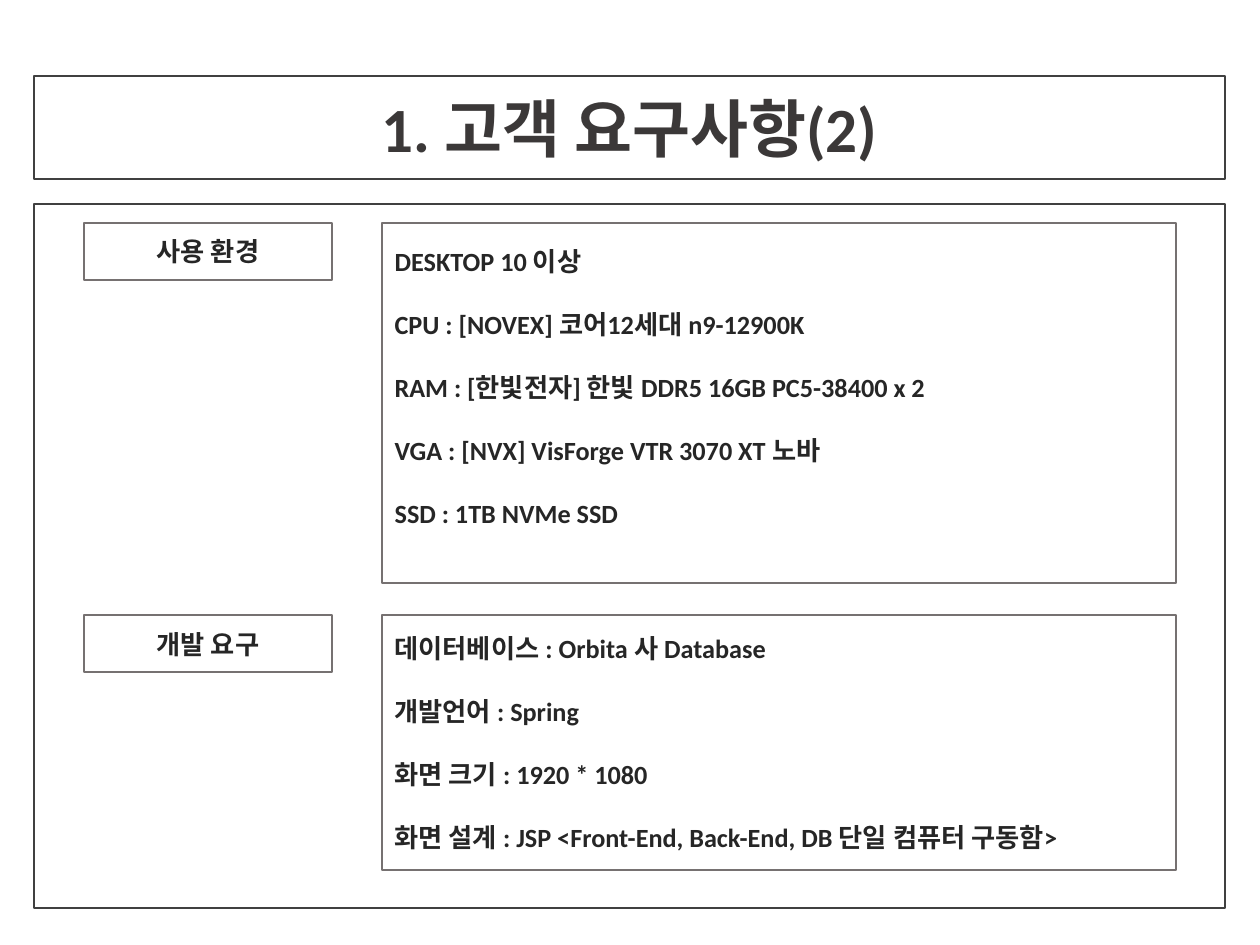
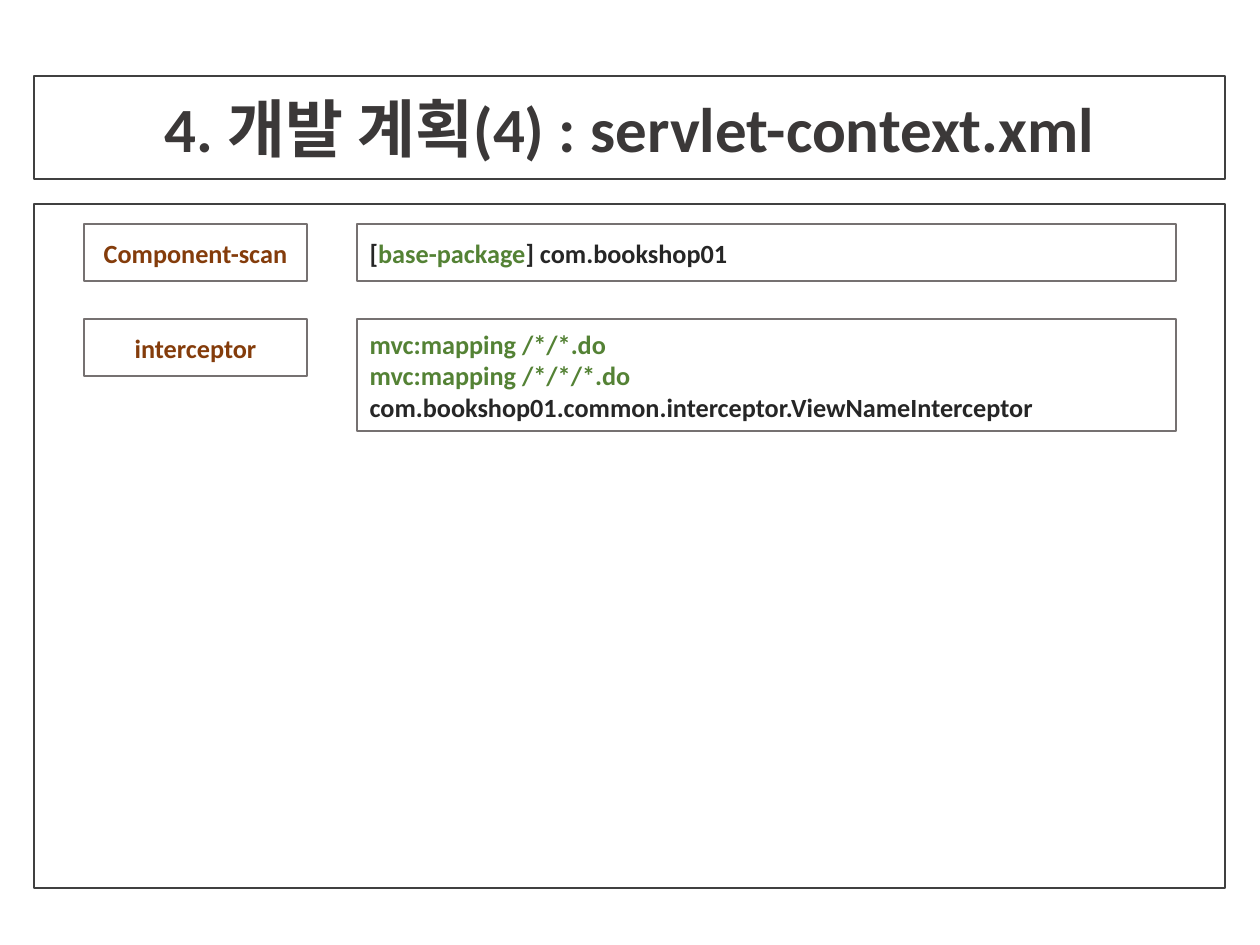
"""Build two framed slides: customer requirements and the servlet context plan."""
from lxml.etree import SubElement
from pptx import Presentation
from pptx.dml.color import RGBColor
from pptx.enum.shapes import MSO_SHAPE
from pptx.enum.text import MSO_ANCHOR, MSO_AUTO_SIZE, PP_ALIGN
from pptx.oxml.ns import qn
from pptx.util import Pt

SCALE = 914400 / 126
FONT = "Calibri"
DARK, EDGE, TITLE = "404040", "767171", "3B3838"
INK, BROWN, GREEN = "262626", "843C0B", "548235"
LEFT, RIGHT, GAP = 84, 1176, 50


def frame(shape, box, line, width):
    """Place a shape and give it a plain outline."""
    shape.left, shape.top, shape.width, shape.height = [round(n * SCALE) for n in box]
    shape.fill.background()
    shape.line.color.rgb = RGBColor.from_string(line)
    shape.line.width = Pt(width)
    text = shape.text_frame
    text.word_wrap = True
    text.auto_size = MSO_AUTO_SIZE.NONE
    text.vertical_anchor = MSO_ANCHOR.MIDDLE


def style(para, size, colors, align):
    """Format the runs of a paragraph, one colour for each run."""
    para.alignment = align
    for run, color in zip(para.runs, colors):
        run.font.name = FONT
        run.font.size = Pt(size)
        run.font.bold = True
        run.font.color.rgb = RGBColor.from_string(color)


needs = [
    [("DESKTOP 10 이상", INK)],
    [("CPU : [NOVEX] 코어12세대 n9-12900K", INK)],
    [("RAM : [한빛전자] 한빛 DDR5 16GB PC5-38400 x 2", INK)],
    [("VGA : [NVX] VisForge VTR 3070 XT 노바", INK)],
    [("SSD : 1TB NVMe SSD", INK)],
]
tools = [
    [("데이터베이스 : Orbita 사 Database", INK)],
    [("개발언어 : Spring", INK)],
    [("화면 크기 : 1920 * 1080", INK)],
    [("화면 설계 : JSP <Front-End, Back-End, DB 단일 컴퓨터 구동함>", INK)],
]
scan = [[("[", INK), ("base-package", GREEN), ("] com.bookshop01", INK)]]
routes = [
    [("mvc:mapping /*/*.do", GREEN)],
    [("mvc:mapping /*/*/*.do", GREEN)],
    [("com.bookshop01.common.interceptor.ViewNameInterceptor", INK)],
]

pages = [
    ("1. 고객 요구사항(2)", 704, 248, INK, 18, [
        ("사용 환경", 223, 360, 38, needs),
        ("개발 요구", 615, 255, 6, tools),
    ]),
    ("4. 개발 계획(4) : servlet-context.xml", 684, 223, BROWN, 0, [
        ("Component-scan", 224, 57, 6, scan),
        ("interceptor", 319, 112, 6, routes),
    ]),
]

prs = Presentation()
prs.slide_width = round(1260 * SCALE)
prs.slide_height = round(945 * SCALE)

for name, depth, wide, tint, space, rows in pages:
    slide = prs.slides.add_slide(prs.slide_layouts[3])

    title = slide.shapes.title
    frame(title, (34, 76, 1191, 103), DARK, 1.5)
    title.text_frame.text = name
    style(title.text_frame.paragraphs[0], 36, [TITLE], PP_ALIGN.CENTER)

    panel = slide.shapes.add_shape(MSO_SHAPE.RECTANGLE, 0, 0, 0, 0)
    panel.shadow.inherit = False
    frame(panel, (34, 204, 1191, depth), DARK, 1.5)

    for slot, (head, top, high, foot, lines) in enumerate(rows, 1):
        label = slide.shapes.add_shape(MSO_SHAPE.RECTANGLE, 0, 0, 0, 0)
        label.shadow.inherit = False
        frame(label, (LEFT, top, wide, 57), EDGE, 1)
        label.text_frame.text = head
        style(label.text_frame.paragraphs[0], 15, [tint], PP_ALIGN.CENTER)

        start = LEFT + wide + GAP
        body = slide.placeholders[slot]
        frame(body, (start, top, RIGHT - start, high), EDGE, 1)
        text = body.text_frame
        text.margin_bottom = round(foot * SCALE)
        for i, parts in enumerate(lines):
            para = text.paragraphs[0] if i == 0 else text.add_paragraph()
            props = para._p.get_or_add_pPr()
            props.set("marL", "0")
            props.set("indent", "0")
            SubElement(props, qn("a:buNone"))
            para.space_before = Pt(space if i else 0)
            for words, color in parts:
                para.add_run().text = words
            style(para, 15, [color for words, color in parts], PP_ALIGN.LEFT)

prs.save("out.pptx")
